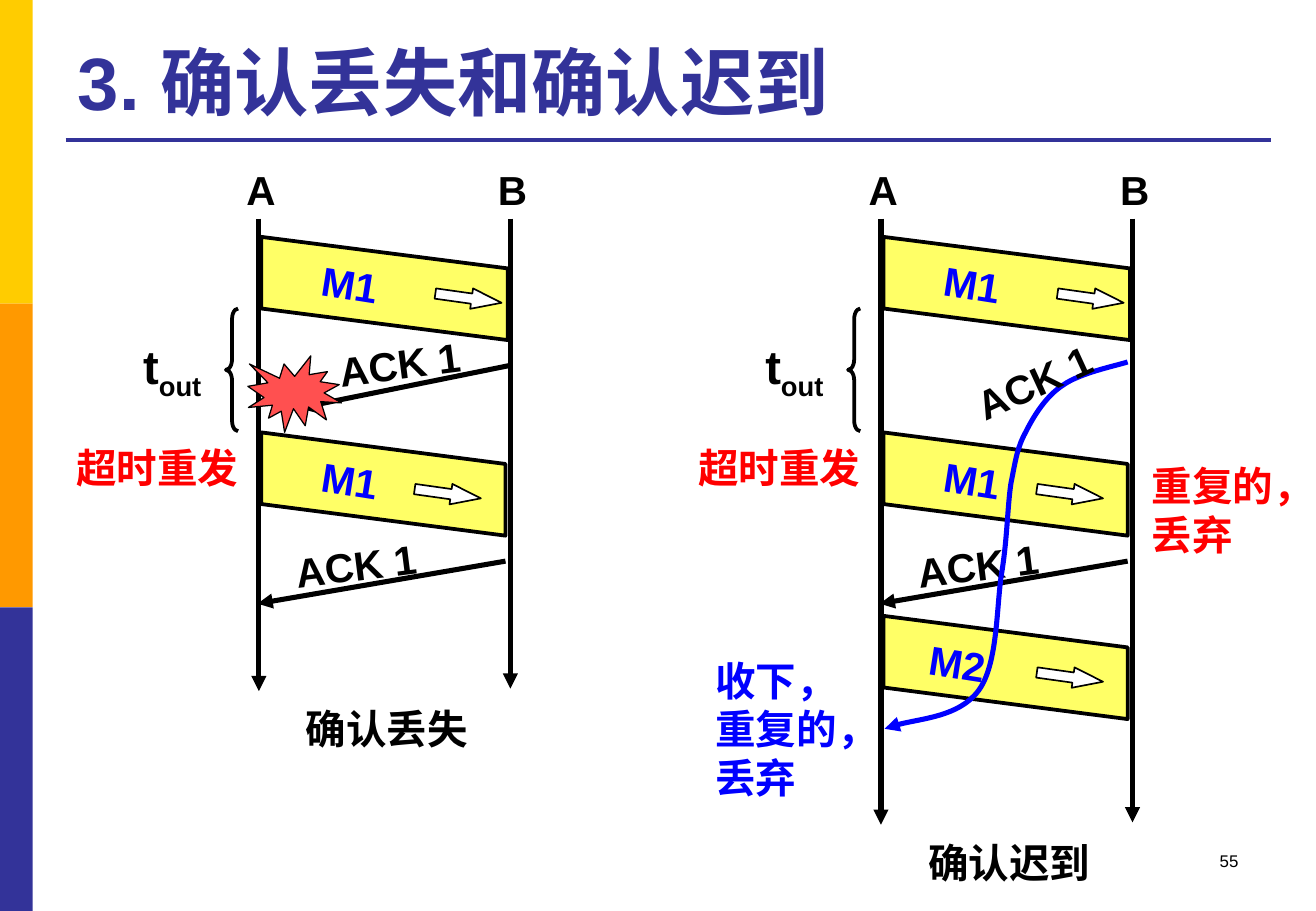
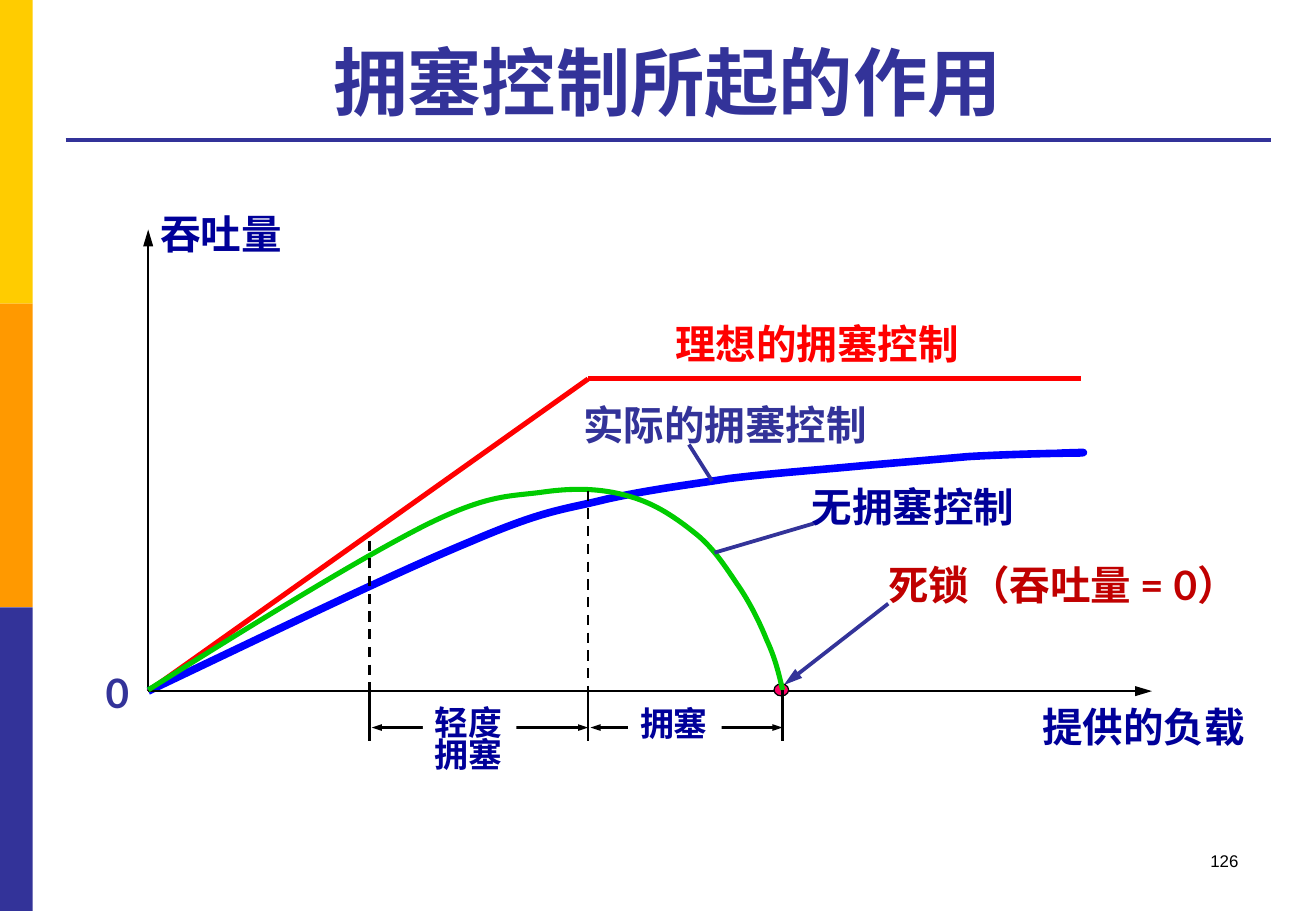
"""Build two slides on lost acknowledgements and on congestion control."""
from dataclasses import dataclass

from lxml import etree
from pptx import Presentation
from pptx.dml.color import RGBColor
from pptx.enum import dml, shapes, text
from pptx.oxml.ns import qn
from pptx.util import Inches, Pt


@dataclass(frozen=True)
class Theme:
    """Hold the colours, fonts and type sizes."""
    black: str = "000000"
    white: str = "FFFFFF"
    gold: str = "FFCC00"
    orange: str = "FF9900"
    indigo: str = "333399"
    navy: str = "000099"
    blue: str = "0000FF"
    red: str = "FF0000"
    crimson: str = "C00000"
    pink: str = "FF0066"
    coral: str = "FF5050"
    yellow: str = "FFFF66"
    green: str = "00CC00"
    latin: str = "Arial"
    diagram: str = "Lato"
    title: int = 44
    timer: int = 28
    label: int = 24
    small: int = 20
    number: int = 10


THEME = Theme()
SHAPE = shapes.MSO_SHAPE
ALIGN = text.PP_ALIGN
LONG = ("med", "lg")
MEDIUM = ("med", "med")
SMALL = ("sm", "med")


def assign(target, values):
    """Set each attribute named in a dict."""
    for name, value in values.items():
        setattr(target, name, value)


def place(box, at, rotation=0):
    """Position an element in inches."""
    names = ("left", "top", "width", "height")
    assign(box, dict(zip(names, map(Inches, at))))
    if rotation:
        box.rotation = rotation


def style_font(font, color, size, name=THEME.latin, bold=True):
    """Format a font."""
    assign(font, {"name": name, "size": Pt(size), "bold": bold})
    font.color.rgb = RGBColor.from_string(color)


def paint(shape, fill=None, line=None, weight=1):
    """Set fill and outline and drop the shadow."""
    shape.shadow.inherit = False
    for part, color in ((shape.fill, fill), (shape.line.fill, line)):
        if color:
            part.solid()
            part.fore_color.rgb = RGBColor.from_string(color)
        else:
            part.background()
    if line:
        shape.line.width = Pt(weight)


def add_heads(shape, **ends):
    """Add arrowheads to the ends named headEnd or tailEnd."""
    outline = shape.element.spPr.find(qn("a:ln"))
    for tag, (width, length) in ends.items():
        etree.SubElement(outline, qn("a:" + tag), type="triangle", w=width, len=length)


def add_preset(page, kind, at, fill=None, line=None, weight=1, rotation=0, adjust=()):
    """Add a preset shape."""
    shape = page.shapes.add_shape(kind, *map(Inches, at))
    for index, value in enumerate(adjust):
        shape.adjustments[index] = value
    if rotation:
        shape.rotation = rotation
    paint(shape, fill, line, weight)
    return shape


def add_line(page, start, end, color=THEME.black, weight=1.5, dash=None, **ends):
    """Add a straight line with optional arrowheads."""
    line = page.shapes.add_connector(
        shapes.MSO_CONNECTOR.STRAIGHT, *map(Inches, (*start, *end)))
    line.line.color.rgb = RGBColor.from_string(color)
    line.line.width = Pt(weight)
    if dash:
        line.line.dash_style = dash
    add_heads(line, **ends)
    etree.SubElement(line.element.spPr, qn("a:effectLst"))
    return line


def add_outline(page, points, close):
    """Add a freeform through the points."""
    first, *rest = [tuple(map(Inches, point)) for point in points]
    builder = page.shapes.build_freeform(*first)
    builder.add_line_segments(rest, close=close)
    return builder.convert_to_shape()


def add_curve(page, points, color, weight=3, **ends):
    """Add a curve of cubic segments from a start and triples of points."""
    curve = add_outline(page, points, False)
    outline = curve.element.find(".//" + qn("a:path"))
    steps = outline.findall(qn("a:lnTo"))
    for index in range(0, len(steps), 3):
        segment = etree.SubElement(outline, qn("a:cubicBezTo"))
        for step in steps[index:index + 3]:
            segment.append(step[0])
            outline.remove(step)
    paint(curve, None, color, weight)
    add_heads(curve, **ends)


def add_label(page, at, words, color=THEME.black, size=THEME.label, name=THEME.latin,
              bold=True, wrap=False, rotation=0, fill=None, align=ALIGN.LEFT, spacing=None):
    """Add a text box with one paragraph per line of words."""
    box = page.shapes.add_textbox(*map(Inches, at))
    box.rotation = rotation
    if fill:
        paint(box, fill)
    frame = box.text_frame
    assign(frame, {"word_wrap": wrap, "auto_size": text.MSO_AUTO_SIZE.SHAPE_TO_FIT_TEXT})
    for index, line in enumerate(words.split("\n")):
        para = frame.add_paragraph() if index else frame.paragraphs[0]
        assign(para, {"alignment": align, "line_spacing": spacing})
        span = para.add_run()
        span.text = line
        style_font(span.font, color, size, name, bold)
    return box


def add_frame(page, layout):
    """Put the side bands and title rule on the layout."""
    bands = (THEME.gold, THEME.orange, THEME.indigo)
    parts = [add_preset(page, SHAPE.RECTANGLE, (0, 2.5 * row, 0.27, 2.5), color)
             for row, color in enumerate(bands)]
    parts.append(add_line(page, (0.54, 1.15), (10.46, 1.15), THEME.indigo, 2.25))
    for index, part in enumerate(parts):
        part.element.find(".//" + qn("p:cNvPr")).set("id", str(100 + index))
        layout.shapes.element.insert(2 + index, part.element)


def add_page(deck, title, number, align):
    """Add a slide with its title and page number."""
    page = deck.slides.add_slide(deck.slide_layouts[5])
    box = page.shapes.title
    place(box, (0.54, 0.21, 9.91, 0.87))
    assign(box.text_frame, {"vertical_anchor": text.MSO_ANCHOR.BOTTOM, "word_wrap": True,
                            "auto_size": text.MSO_AUTO_SIZE.NONE})
    para = box.text_frame.paragraphs[0]
    para.alignment = align
    span = para.add_run()
    span.text = title
    style_font(span.font, THEME.indigo, THEME.title)
    add_label(page, (7.76, 6.95, 2.53, 0.5), number, size=THEME.number,
              bold=False, wrap=True, align=ALIGN.RIGHT)
    return page


def add_message(page, left, top, words, width=2.01, arrow_gap=1.26, label_gap=0.4):
    """Add a slanted data frame with its arrow and label."""
    right = left + width
    frame = add_outline(page, [(left, top), (right, top + 0.26), (right, top + 0.85),
                               (left, top + 0.59)], True)
    paint(frame, THEME.yellow, THEME.black, 2.25)
    add_preset(page, SHAPE.RIGHT_ARROW, (left + arrow_gap, top + 0.42, 0.55, 0.17),
               THEME.white, THEME.black, rotation=8, adjust=(0.5, 1.46))
    add_label(page, (left + label_gap, top + 0.14, 0.67, 0.5), words, THEME.blue, rotation=9)


def add_exchange(page, shift, bottom, caption):
    """Add the parts that both A to B exchanges share."""
    for name, left, end in (("A", 2.13, bottom), ("B", 4.2, bottom - 0.02)):
        add_line(page, (shift + left, 1.8), (shift + left, end), weight=3, tailEnd=MEDIUM)
        add_label(page, (shift + left - 0.2, 1.31, 0.44, 0.5), name)
    add_message(page, shift + 2.15, 1.95, "M1", 2.03, 1.43)
    add_message(page, shift + 2.15, 3.56, "M1")
    add_label(page, (shift + 2.42, bottom + 0.06, 1.56, 0.5), caption)
    add_line(page, (shift + 4.16, 4.62), (shift + 2.12, 4.97), weight=3, tailEnd=MEDIUM)
    add_label(page, (shift + 2.33, 4.4, 1.21, 0.51), "ACK 1", rotation=-7.2)
    add_label(page, (shift + 0.53, 3.6, 1.54, 0.5), "超时重发", THEME.red)
    add_preset(page, SHAPE.LEFT_BRACE, (shift + 1.86, 2.54, 0.1, 1.01), None,
               THEME.black, 2.25, adjust=(0.87, 0.5))
    timer = add_label(page, (shift + 1.08, 2.73, 0.74, 0.57), "t", size=THEME.timer)
    span = timer.text_frame.paragraphs[0].add_run()
    span.text = "out"
    style_font(span.font, THEME.black, THEME.timer)
    span.font._element.set("baseline", "-25000")


def draw_acknowledgements(page):
    """Draw the lost and the late acknowledgement."""
    add_exchange(page, 0, 5.69, "确认丢失")
    add_line(page, (4.19, 3.01), (2.46, 3.36), weight=3, tailEnd=MEDIUM)
    add_label(page, (2.69, 2.74, 1.24, 0.5), "ACK 1", wrap=True, rotation=-7.2)
    add_preset(page, SHAPE.EXPLOSION1, (2.04, 2.93, 0.77, 0.63), THEME.coral, THEME.black, 0.75)

    add_exchange(page, 5.12, 6.79, "确认迟到")
    add_message(page, 7.27, 5.07, "M2", label_gap=0.28)
    add_label(page, (5.79, 5.35, 1.64, 1.31), "收下，\n重复的，\n丢弃", THEME.blue, wrap=True)
    late_ack = [(9.28, 2.98), (9.19, 3.01), (8.89, 3.07), (8.75, 3.17), (8.61, 3.26),
                (8.51, 3.42), (8.44, 3.56), (8.37, 3.69), (8.36, 3.78), (8.32, 3.98),
                (8.29, 4.18), (8.29, 4.45), (8.24, 4.74), (8.2, 5.02), (8.21, 5.48),
                (8.05, 5.69), (7.89, 5.9), (7.44, 5.93), (7.28, 6)]
    add_curve(page, late_ack, THEME.blue, tailEnd=MEDIUM)
    add_label(page, (7.91, 2.89, 1.21, 0.5), "ACK 1", rotation=-24.7)
    add_label(page, (9.38, 3.75, 1.59, 0.91), "重复的，\n丢弃", THEME.red, wrap=True)


def draw_congestion(page):
    """Draw throughput against offered load."""
    origin, knee = (1.22, 5.69), (4.84, 3.12)
    light, heavy, deadlock = 3.04, 4.84, 6.44
    add_line(page, origin, (1.22, 1.89), tailEnd=LONG)
    add_line(page, origin, knee, THEME.red, 3)
    add_line(page, knee, (8.9, 3.12), THEME.red, 3)
    actual = [origin, (2.23, 5.21), (3.24, 4.72), (3.87, 4.46), (4.5, 4.19), (4.63, 4.2),
              (4.99, 4.11), (5.35, 4.03), (5.68, 3.99), (6, 3.94), (6.33, 3.9), (6.6, 3.88),
              (6.93, 3.85), (7.25, 3.82), (7.63, 3.79), (7.96, 3.76), (8.29, 3.74),
              (8.75, 3.73), (8.88, 3.73), (9.01, 3.72), (8.76, 3.73), (8.74, 3.73)]
    add_curve(page, actual, THEME.blue, 4.5)
    add_line(page, (5.67, 3.66), (5.86, 3.96), THEME.indigo, 2.25)
    add_line(page, origin, (9.48, 5.69), tailEnd=LONG)
    add_line(page, (7.31, 4.97), (6.45, 5.64), THEME.indigo, 2.25, tailEnd=LONG)
    add_preset(page, SHAPE.OVAL, (6.37, 5.63, 0.12, 0.1), THEME.pink, THEME.black, 0.75)
    for start, end in ((light, heavy), (heavy, deadlock)):
        add_line(page, (start + 0.02, 5.99), (end, 5.99), headEnd=SMALL, tailEnd=SMALL)
    uncontrolled = [(1.22, 5.68), (2.08, 5.14), (2.94, 4.61), (3.49, 4.33), (4.03, 4.06),
                    (4.2, 4.09), (4.48, 4.05), (4.77, 4.01), (4.99, 4.03), (5.19, 4.09),
                    (5.4, 4.15), (5.57, 4.27), (5.72, 4.39), (5.86, 4.5), (5.96, 4.65),
                    (6.06, 4.8), (6.16, 4.94), (6.25, 5.12), (6.31, 5.27), (6.38, 5.42),
                    (6.41, 5.55), (6.44, 5.68)]
    add_curve(page, uncontrolled, THEME.green)
    add_line(page, (6.73, 4.3), (5.88, 4.55), THEME.indigo, 2.25)
    for left, top in ((heavy, 4.04), (light, 4.45)):
        add_line(page, (left, top), (left, 5.69), dash=dml.MSO_LINE.DASH)
    for left in (light, heavy, deadlock):
        add_line(page, (left, 5.68), (left, 6.1))
    labels = (((8.48, 5.73, 1.89, 0.5), "提供的负载", THEME.navy),
              ((1.22, 1.67, 1.22, 0.5), "吞吐量", THEME.navy),
              ((5.46, 2.58, 2.57, 0.51), "理想的拥塞控制", THEME.red),
              ((4.7, 3.24, 2.57, 0.51), "实际的拥塞控制", THEME.indigo),
              ((0.77, 5.45, 0.42, 0.5), "0", THEME.indigo),
              ((7.21, 4.56, 3.26, 0.51), "死锁（吞吐量 = 0）", THEME.crimson),
              ((6.58, 3.92, 1.89, 0.51), "无拥塞控制", THEME.navy))
    for at, words, color in labels:
        add_label(page, at, words, color, name=THEME.diagram)
    ranges = (((5.17, 5.74, 0.77, 0.44), "拥塞", None),
              ((3.48, 5.79, 0.77, 0.64), "轻度\n拥塞", 0.8))
    for at, words, spacing in ranges:
        add_label(page, at, words, THEME.navy, THEME.small, THEME.diagram,
                  fill=THEME.white, spacing=spacing)


def main():
    """Build and save the deck."""
    deck = Presentation()
    assign(deck, {"slide_width": Inches(10.83), "slide_height": Inches(7.5)})
    page = add_page(deck, "3. 确认丢失和确认迟到", "55", ALIGN.LEFT)
    add_frame(page, page.slide_layout)
    draw_acknowledgements(page)
    draw_congestion(add_page(deck, "拥塞控制所起的作用", "126", ALIGN.CENTER))
    deck.save("out.pptx")


if __name__ == "__main__":
    main()
